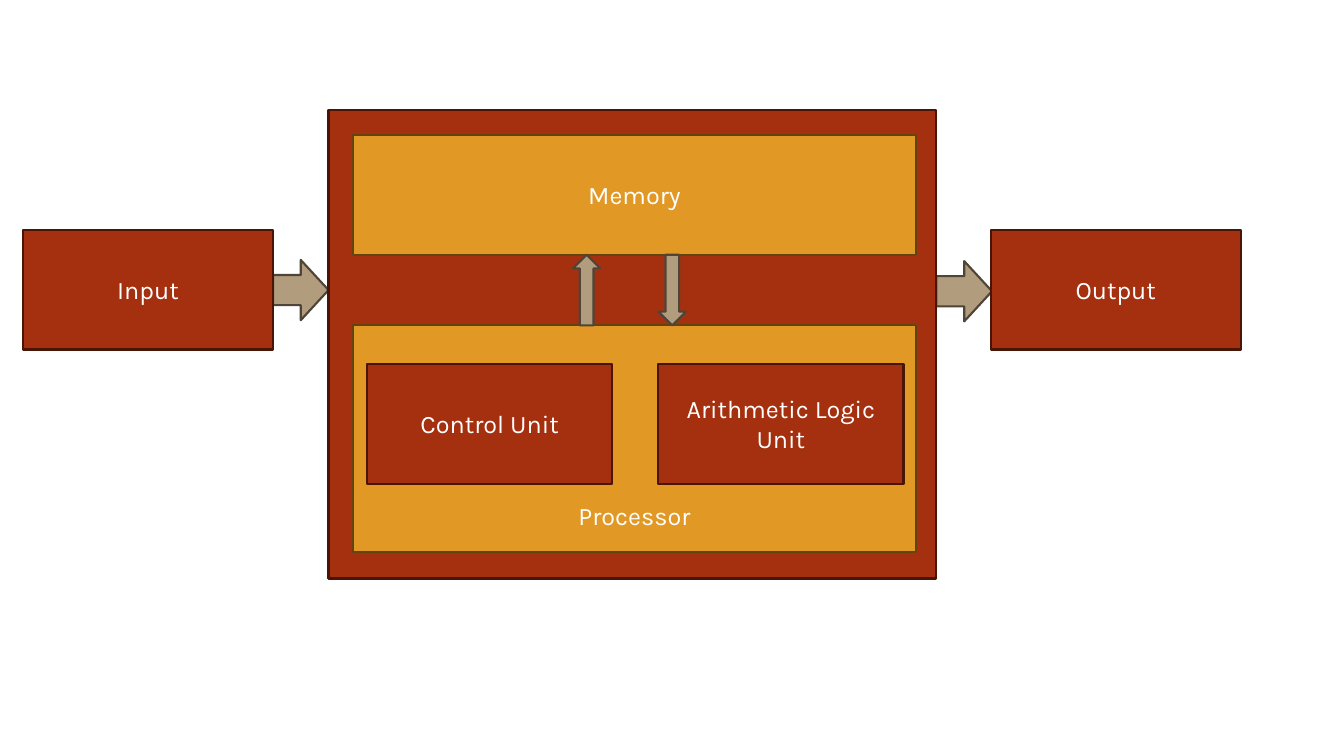
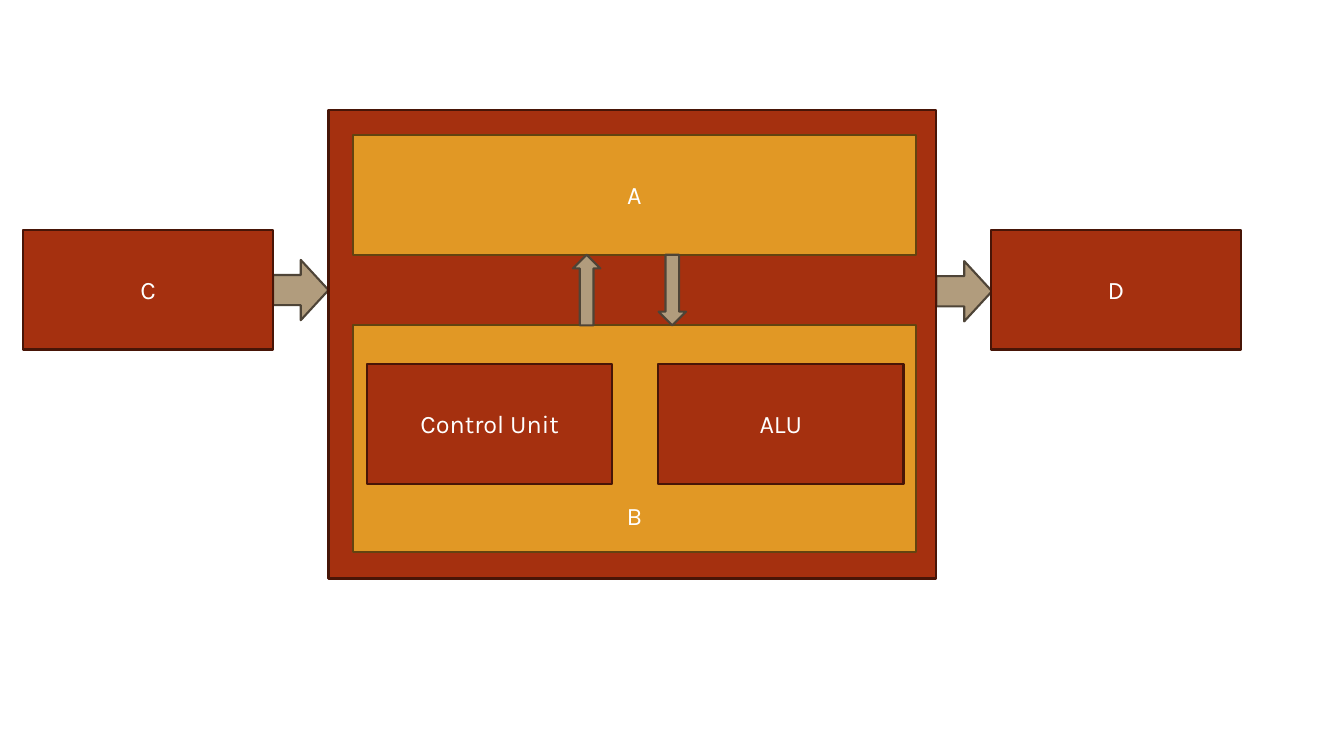
from pptx import Presentation
from pptx.dml.color import RGBColor
from pptx.enum.shapes import MSO_SHAPE
from pptx.enum.text import MSO_ANCHOR, PP_ALIGN
from pptx.util import Cm, Pt

# Each kind of part has a fill and a darker edge.
COLORS = {
    "red": "A5300F", "red edge": "481507",
    "gold": "E19825", "gold edge": "634310",
    "tan": "B19C7D", "tan edge": "4E4437",
    "text": "FFFFFF",
}
FONT = "Karla"
SIZE = Pt(18)
ROW = 3.02  # height of every labelled block but the processor


def color(name):
    return RGBColor.from_string(COLORS[name])


class Deck:
    def __init__(self):
        self.prs = Presentation()
        self.prs.slide_width = Cm(33.87)
        self.prs.slide_height = Cm(19.05)
        self.slide = None

    def add(self):
        self.slide = self.prs.slides.add_slide(self.prs.slide_layouts[6])

    def shape(self, kind, tone, *area):
        """Draw a preset shape; area is left, top, width, height in cm."""
        item = self.slide.shapes.add_shape(kind, *map(Cm, area))
        item.shadow.inherit = False
        item.fill.solid()
        item.fill.fore_color.rgb = color(tone)
        item.line.color.rgb = color(tone + " edge")
        item.line.width = Pt(1.5)
        return item

    def arrow(self, kind, *area):
        self.shape(kind, "tan", *area)

    def box(self, tone, *area, text="", anchor=MSO_ANCHOR.MIDDLE):
        item = self.shape(MSO_SHAPE.RECTANGLE, tone, *area)
        if not text:
            return
        frame = item.text_frame
        frame.word_wrap = True
        frame.vertical_anchor = anchor
        if anchor == MSO_ANCHOR.BOTTOM:
            frame.margin_bottom = Cm(0.54)
        frame.text = text
        para = frame.paragraphs[0]
        para.alignment = PP_ALIGN.CENTER
        font = para.runs[0].font
        font.name, font.size = FONT, SIZE
        font.color.rgb = color("text")

    def diagram(self, enter, leave, memory, cpu, units):
        """Draw the computer with its input, output and inner parts."""
        self.add()
        for left, top in ((23.6, 6.58), (6.88, 6.55)):
            self.arrow(MSO_SHAPE.RIGHT_ARROW, left, top, 1.4, 1.52)

        self.box("red", 8.28, 2.77, 15.32, 11.81)
        self.box("gold", 8.89, 3.4, 14.2, ROW, text=memory)
        self.box("gold", 8.89, 8.2, 14.2, 5.72, text=cpu,
                 anchor=MSO_ANCHOR.BOTTOM)
        for left, text in zip((9.25, 16.59), units):
            self.box("red", left, 9.17, 6.18, ROW, text=text)
        for left, text in ((24.97, leave), (0.58, enter)):
            self.box("red", left, 5.79, 6.3, ROW, text=text)

        self.arrow(MSO_SHAPE.UP_ARROW, 14.44, 6.42, 0.69, 1.78)
        self.arrow(MSO_SHAPE.DOWN_ARROW, 16.6, 6.42, 0.69, 1.78)


def main():
    deck = Deck()
    deck.diagram("Input", "Output", "Memory", "Processor",
                 ("Control Unit", "Arithmetic Logic Unit"))
    deck.diagram("C", "D", "A", "B", ("Control Unit", "ALU"))
    deck.prs.save("out.pptx")


if __name__ == "__main__":
    main()
